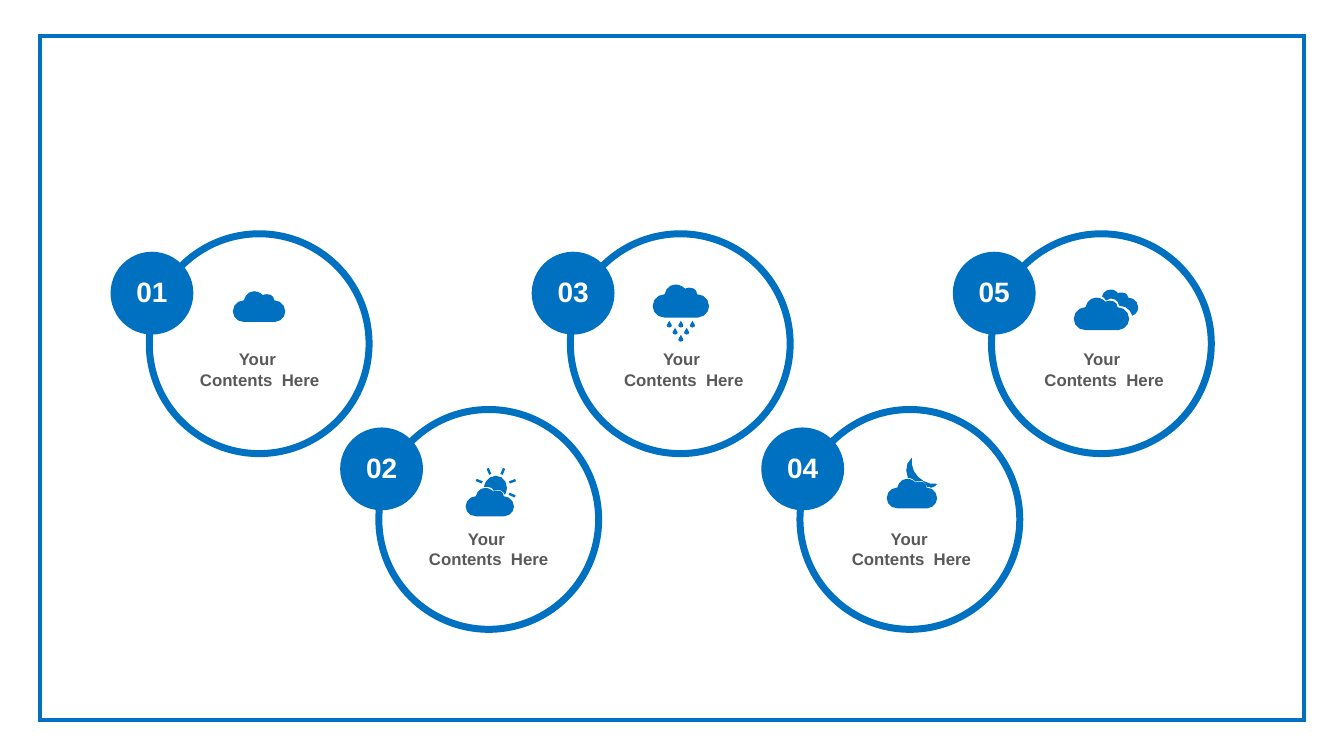
import dataclasses
import math

import lxml.etree
import pptx
import pptx.dml.color
import pptx.enum.shapes
import pptx.enum.text
import pptx.oxml.ns
import pptx.util

Pt = pptx.util.Pt
RGB = pptx.dml.color.RGBColor
KIND = pptx.enum.shapes.MSO_SHAPE
ALIGN = pptx.enum.text.PP_ALIGN
ANCHOR = pptx.enum.text.MSO_ANCHOR
FIT = pptx.enum.text.MSO_AUTO_SIZE


@dataclasses.dataclass(frozen=True)
class Theme:
    blue: RGB = RGB(0x00, 0x70, 0xC0)
    white: RGB = RGB(0xFF, 0xFF, 0xFF)
    gray: RGB = RGB(0x59, 0x59, 0x59)
    font: str = "Arial"
    large: float = 20
    small: float = 12
    frame: float = 3
    ring: float = 5


THEME = Theme()
RING = 157
BADGE = 59.2
UNIT = 0.72

CLOUD = [(21, 0), (25, 0, 28, 2, 30, 4), (31, 3, 33, 3, 34, 3),
         (38, 3, 41, 5, 41, 9), (47, 9, 52, 14, 52, 20),
         (52, 25, 48, 30, 42, 30.5), (11, 30.5), (5, 30.5, 0, 26, 0, 20),
         (0, 14, 5, 9, 11, 9), (12, 4, 16, 0, 21, 0)]
SUN = [(30, 8), (36, 8, 41, 13, 41, 20), (41, 22, 40, 25, 39, 27),
       (38, 24, 35, 22, 32, 22), (31, 22, 29, 22, 28, 23),
       (27, 20, 24, 19, 20, 19), (18, 19), (19, 13, 24, 8, 30, 8)]
MOON = [(25, 0), (24, 7, 26, 14, 31, 19), (36, 24, 43, 27, 50, 26),
        (49, 28, 47, 29, 44, 30), (43, 29, 41, 29, 40, 29),
        (39, 25, 36, 23, 33, 23), (31, 23, 30, 23, 29, 24),
        (27, 22, 24, 20, 21, 20), (18, 13, 19, 5, 25, 0)]
REAR = [(37, 0), (40, 0, 43, 2, 44, 4), (45, 3, 46, 3, 48, 3),
        (51, 3, 54, 5, 54, 8), (59, 8, 64, 12, 64, 18),
        (64, 22, 61, 25, 58, 26), (57, 21, 52, 16, 45, 16),
        (45, 12, 41, 9, 37, 9), (35, 9, 34, 10, 32, 11),
        (31, 9, 30, 8, 28, 7), (29, 3, 32, 0, 37, 0)]
DROP = [(0, 0), (1.7, 3), (2.7, 4, 2.7, 5, 2, 6), (1, 7, -1, 7, -2, 6),
        (-2.7, 5, -2.7, 4, -1.7, 3)]


def apply(item, **values):
    for name, value in values.items():
        setattr(item, name, value)


def trace(path, x=0, y=0, scale=1, steps=3):
    spots = [path[0]]
    for part in path[1:]:
        if len(part) == 2:
            spots.append(part)
            continue
        ends = [spots[-1], part[:2], part[2:4], part[4:]]
        for step in range(1, steps + 1):
            t = step / steps
            mix = ((1 - t) ** 3, 3 * t * (1 - t) ** 2, 3 * t * t * (1 - t), t ** 3)
            spots.append(tuple(sum(m * e[axis] for m, e in zip(mix, ends))
                               for axis in (0, 1)))
    if spots[-1] == spots[0]:
        spots.pop()
    return [(x + scale * a, y + scale * b) for a, b in spots]


def cloud(width, y=0):
    return trace(CLOUD, 0, y, width / 52)


def rays():
    result = []
    for turn in range(5):
        angle = math.radians(24 - 45.5 * turn)
        c, s = math.cos(angle), math.sin(angle)
        result.append([(30 + r * c - w * s, 20 + r * s + w * c)
                       for r, w in ((14.5, -1.2), (21, -1.2), (21, 1.2), (14.5, 1.2))])
    return result


def rain():
    return [trace(DROP, 28 + 11.5 * (col - (count - 1) / 2), 36 + 7 * row, 1, 2)
            for row, count in enumerate((3, 2, 1)) for col in range(count)]


def paint(shape, fill=None, line=None, width=0):
    shape.shadow.inherit = False
    if fill is None:
        shape.fill.background()
    else:
        shape.fill.solid()
        shape.fill.fore_color.rgb = fill
    if line is None:
        shape.line.fill.background()
    else:
        shape.line.color.rgb = line
        shape.line.width = Pt(width)
        qn = pptx.oxml.ns.qn
        edge = shape.element.spPr.find(qn("a:ln"))
        lxml.etree.SubElement(edge, qn("a:miter")).set("lim", "800000")


def block(slide, kind, x, y, w, h, *look):
    shape = slide.shapes.add_shape(kind, Pt(x), Pt(y), Pt(w), Pt(h))
    paint(shape, *look)
    return shape


def write(frame, lines, size, color, space=None):
    for index, line in enumerate(lines):
        para = frame.paragraphs[0] if index == 0 else frame.add_paragraph()
        apply(para, text=line, alignment=ALIGN.CENTER, line_spacing=space)
        apply(para.font, name=THEME.font, size=Pt(size), bold=True)
        para.font.color.rgb = color


def badge(slide, x, y, label):
    block(slide, KIND.OVAL, x, y, BADGE, BADGE, THEME.blue).rotation = 315
    shape = block(slide, KIND.OVAL, x + 0.8, y + 6, 57.6, 44.8)
    apply(shape.text_frame, margin_left=0, margin_right=0, margin_top=0,
          margin_bottom=0, word_wrap=True, vertical_anchor=ANCHOR.MIDDLE)
    write(shape.text_frame, [label], THEME.large, THEME.white)


def caption(slide, x, y):
    box = slide.shapes.add_textbox(Pt(x), Pt(y), Pt(117.4), Pt(36))
    apply(box.text_frame, word_wrap=True, auto_size=FIT.SHAPE_TO_FIT_TEXT)
    write(box.text_frame, ["Your ", "Contents  Here"], THEME.small,
          THEME.gray, Pt(14.6))


def icon(slide, x, y, parts):
    pen = None
    for part in parts:
        spots = [(Pt(x + a * UNIT), Pt(y + b * UNIT)) for a, b in part]
        if pen is None:
            pen = slide.shapes.build_freeform(*spots[0])
        else:
            pen.move_to(*spots[0])
        pen.add_line_segments(spots[1:], close=True)
    paint(pen.convert_to_shape(), THEME.blue)


def main():
    deck = pptx.Presentation()
    apply(deck, slide_width=Pt(960), slide_height=Pt(540))
    slide = deck.slides.add_slide(deck.slide_layouts[6])
    block(slide, KIND.RECTANGLE, 28.8, 25.9, 902.9, 488.5,
          THEME.white, THEME.blue, THEME.frame)
    items = [
        (20.2, 59.7, 41, [cloud(52)]),
        (19.8, 62, 41.6, [cloud(48, 20), trace(SUN), *rays()]),
        (22.4, 58.8, 36.2, [cloud(56), *rain()]),
        (21, 62, 34.4, [cloud(50, 21), trace(MOON)]),
        (21.8, 58.8, 39.8, [cloud(55, 8), trace(REAR)]),
    ]
    for index, (shift, left, top, parts) in enumerate(items):
        pair, low = divmod(index, 2)
        x = 106.6 + 300.8 * pair + 164 * low
        y = 167 + 125.5 * low
        block(slide, KIND.OVAL, x, y, RING, RING,
              THEME.white, THEME.blue, THEME.ring)
        badge(slide, x - 27.6, y + 12.8, f"{index + 1:02}")
        caption(slide, x + shift, y + 78.6 + 2.6 * low)
        icon(slide, x + left, y + top, parts)
    deck.save("out.pptx")


if __name__ == "__main__":
    main()
